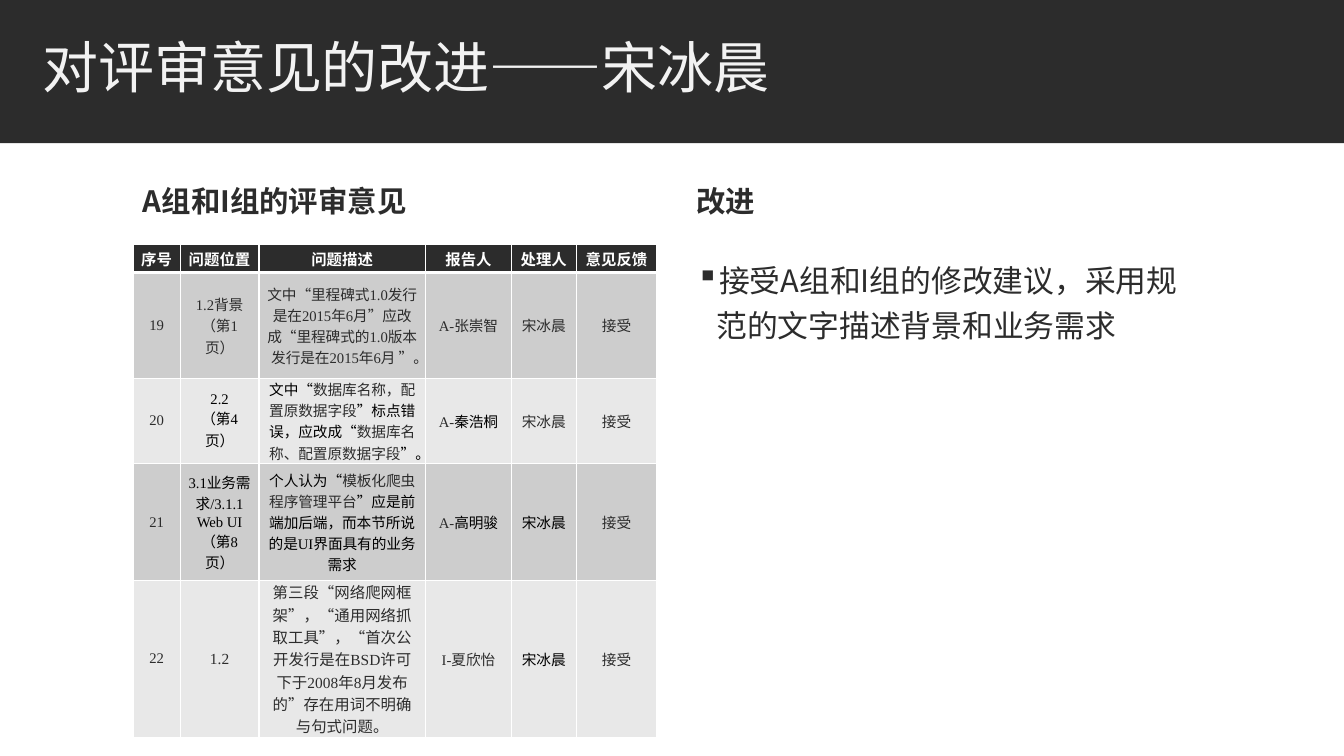
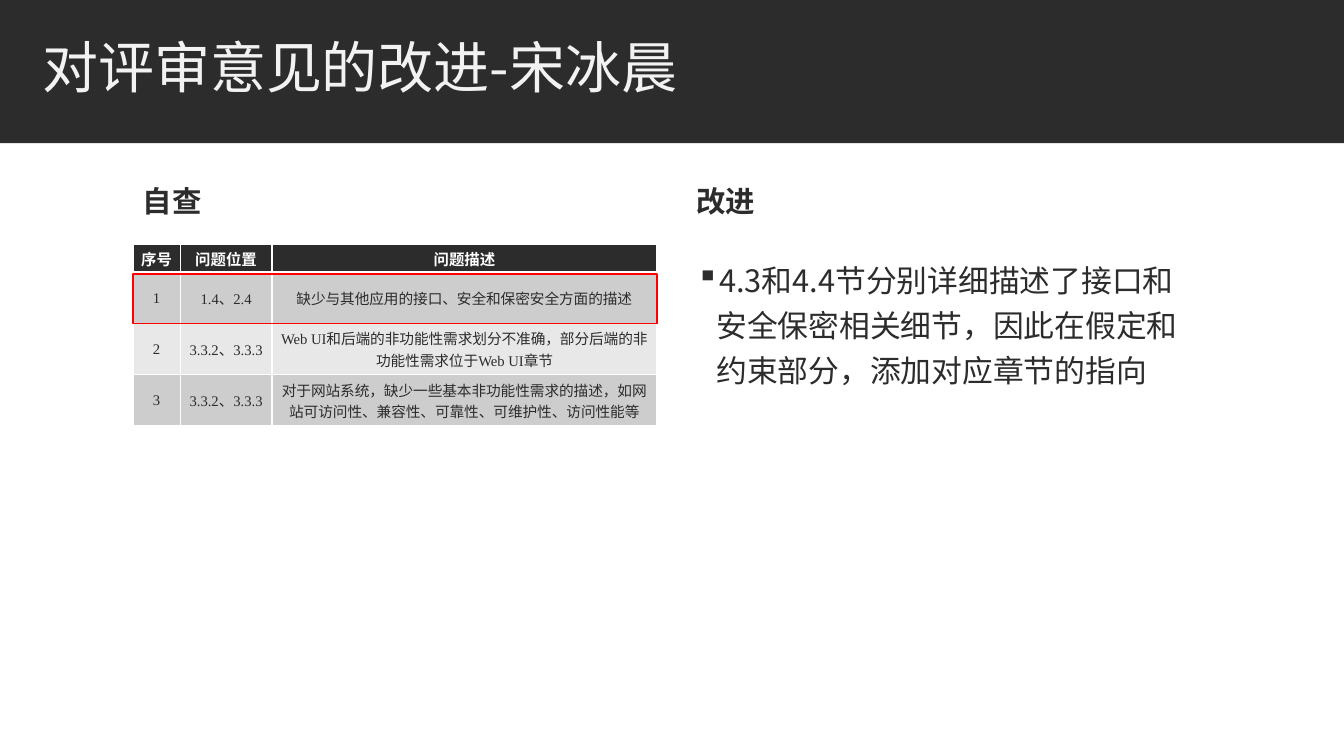
"""Build two slides that list review comments and the improvements made."""
from lxml import etree
from pptx import Presentation
from pptx.dml.color import RGBColor
from pptx.enum.shapes import MSO_SHAPE
from pptx.enum.text import MSO_ANCHOR, MSO_AUTO_SIZE, PP_ALIGN
from pptx.oxml.ns import qn
from pptx.util import Pt

RECTANGLE = MSO_SHAPE.RECTANGLE
MIDDLE, TOP = MSO_ANCHOR.MIDDLE, MSO_ANCHOR.TOP
CENTER, LEFT = PP_ALIGN.CENTER, PP_ALIGN.LEFT
NO_AUTOFIT = MSO_AUTO_SIZE.NONE

DARK = RGBColor(0x2C, 0x2C, 0x2C)
BLACK = RGBColor(0, 0, 0)
WHITE = RGBColor(0xFF, 0xFF, 0xFF)
TITLE_COLOR = RGBColor(0xF2, 0xF2, 0xF2)
BAND_FILLS = (RGBColor(0xCD, 0xCD, 0xCD), RGBColor(0xE8, 0xE8, 0xE8))
RED = RGBColor(0xFF, 0, 0)
SANS, SERIF = "Noto Sans CJK SC", "Times New Roman"

SLIDE_WIDTH, SLIDE_HEIGHT, BAND_HEIGHT = 960, 540, 102.24
TITLE_BOX = (23, 18.7, 770, 65)
LEFT_X, RIGHT_X, COLUMN_WIDTH = 95, 490.3, 374.4
HEADING_Y, HEADING_HEIGHT = 116, 58.3
TABLE_Y, BODY_Y, BODY_HEIGHT = 174.3, 177, 313
HEADER_HEIGHT = 20.4

# A bar in a cell text switches between dark and black.
SLIDES = [
    {
        "title": "对评审意见的改进——宋冰晨",
        "headings": ("A组和I组的评审意见", "改进"),
        "body": "接受A组和I组的修改建议，采用规范的文字描述背景和业务需求",
        "widths": (33.8, 56.2, 119, 61.4, 46.2, 57.8),
        "heights": (HEADER_HEIGHT, 36.6, 36.6, 45.4, 70.6),
        "large_cells": {(4, 1), (4, 2)},
        "rows": [
            ("序号", "问题位置", "问题描述", "报告人", "处理人", "意见反馈"),
            ("19", "1.2背景\n（第1页）",
             "文中“里程碑式1.0发行是在2015年6月”应改成“里程碑式的1.0版本发行是在2015年6月 ”。",
             "A-张崇智", "宋冰晨", "接受"),
            ("20", "|2.2\n|（第4页）",
             "|文中“|数据库名称，配置原数据字段|”标点错误，应改成“|数据库名称、配置原数据字段|”。",
             "A-|秦浩桐", "宋冰晨", "接受"),
            ("21", "|3.1业务需求/3.1.1 Web UI\n|（第8页）",
             "|个人认为“|模板化爬虫程序管理平台|”应是前端加后端，而本节所说的是UI界面具有的业务需求",
             "A-|高明骏", "|宋冰晨", "接受"),
            ("22", "1.2",
             "第三段“网络爬网框架”，“通用网络抓取工具”，“首次公开发行是在BSD许可下于2008年8月发布的”存在用词不明确与句式问题。",
             "I-夏欣怡", "|宋冰晨", "接受"),
        ],
    },
    {
        "title": "对评审意见的改进-宋冰晨",
        "headings": ("自查", "改进"),
        "body": "4.3和4.4节分别详细描述了接口和安全保密相关细节，因此在假定和约束部分，添加对应章节的指向",
        "widths": (33.8, 65.5, 275.1),
        "heights": (HEADER_HEIGHT, 36.5, 36.5, 36.5),
        "large_cells": set(),
        "highlight": (LEFT_X, 195.8, COLUMN_WIDTH, 35.3),
        "rows": [
            ("序号", "问题位置", "问题描述"),
            ("1", "1.4、2.4", "缺少与其他应用的接口、安全和保密安全方面的描述"),
            ("2", "3.3.2、3.3.3",
             "Web UI和后端的非功能性需求划分不准确，部分后端的非功能性需求位于Web UI章节"),
            ("3", "3.3.2、3.3.3",
             "对于网站系统，缺少一些基本非功能性需求的描述，如网站可访问性、兼容性、可靠性、可维护性、访问性能等"),
        ],
    },
]


def points(values):
    return [Pt(value) for value in values]


def format_run(run, size, color, bold=False, latin=SANS):
    run.font.size = Pt(size)
    run.font.bold = bold
    run.font.color.rgb = color
    run.font.name = latin
    properties = run.font._element
    properties.set("lang", "zh-CN")
    latin_element = properties.find(qn("a:latin"))
    east_asian = etree.Element(qn("a:ea"), typeface=SANS)
    latin_element.addnext(east_asian)


def write_text(shape, text, size, color, bold=False, spacing=1.0, anchor=MIDDLE):
    frame = shape.text_frame
    frame.word_wrap = True
    frame.auto_size = NO_AUTOFIT
    frame.vertical_anchor = anchor
    frame.text = text
    paragraph = frame.paragraphs[0]
    paragraph.alignment = LEFT
    paragraph.line_spacing = spacing
    format_run(paragraph.runs[0], size, color, bold)
    return paragraph


def add_band(slide, layout):
    band = slide.shapes.add_shape(
        RECTANGLE, 0, 0, Pt(SLIDE_WIDTH), Pt(BAND_HEIGHT))
    band.shadow.inherit = False
    band.fill.solid()
    band.fill.fore_color.rgb = DARK
    band.line.fill.background()
    layout.shapes.element.insert(2, band.element)


def add_title(slide, text):
    title = slide.shapes.title
    title.left, title.top, title.width, title.height = points(TITLE_BOX)
    write_text(title, text, 40, TITLE_COLOR, spacing=0.85)


def add_heading(slide, text, left):
    box = slide.shapes.add_textbox(
        *points((left, HEADING_Y, COLUMN_WIDTH, HEADING_HEIGHT)))
    paragraph = write_text(box, text, 21, DARK, bold=True, spacing=0.9)
    paragraph.space_before, paragraph.space_after = Pt(12), Pt(2)


def add_body(slide, text):
    box = slide.shapes.add_textbox(
        *points((RIGHT_X, BODY_Y, COLUMN_WIDTH, BODY_HEIGHT)))
    paragraph = write_text(box, text, 22, DARK, spacing=1.23, anchor=TOP)
    properties = paragraph._p.get_or_add_pPr()
    properties.set("marL", str(Pt(14.4)))
    properties.set("indent", str(-Pt(14.4)))
    bullet_color = etree.SubElement(properties, qn("a:buClr"))
    etree.SubElement(bullet_color, qn("a:srgbClr"), val=str(DARK))
    etree.SubElement(properties, qn("a:buChar"), char="▪")


def set_borders(cell, row_index):
    widths = {"L": 1, "R": 1, "T": 3 if row_index == 1 else 1,
              "B": 3 if row_index == 0 else 1}
    properties = cell._tc.get_or_add_tcPr()
    for position, (side, width) in enumerate(widths.items()):
        line = etree.Element(qn(f"a:ln{side}"), w=str(Pt(width)))
        fill = etree.SubElement(line, qn("a:solidFill"))
        etree.SubElement(fill, qn("a:srgbClr"), val=str(WHITE))
        properties.insert(position, line)


def fill_cell(cell, text, row_index, size):
    header = row_index == 0
    cell.margin_left = cell.margin_right = Pt(5)
    cell.margin_top = cell.margin_bottom = 0
    cell.vertical_anchor = MIDDLE
    cell.fill.solid()
    cell.fill.fore_color.rgb = DARK if header else BAND_FILLS[(row_index - 1) % 2]
    set_borders(cell, row_index)
    cell.text_frame.text = text.replace("|", "")
    for paragraph, line in zip(cell.text_frame.paragraphs, text.split("\n")):
        paragraph.alignment = CENTER
        paragraph.clear()
        for index, part in enumerate(line.split("|")):
            if part:
                run = paragraph.add_run()
                run.text = part
                color = WHITE if header else (DARK, BLACK)[index % 2]
                format_run(run, size, color, header, SERIF)


def add_review_table(slide, content):
    rows, widths, heights = content["rows"], content["widths"], content["heights"]
    table = slide.shapes.add_table(
        len(rows), len(widths),
        *points((LEFT_X, TABLE_Y, sum(widths), sum(heights)))).table
    for column, width in zip(table.columns, widths):
        column.width = Pt(width)
    for row, height in zip(table.rows, heights):
        row.height = Pt(height)
    for row_index, texts in enumerate(rows):
        for column_index, text in enumerate(texts):
            large = row_index == 0 or (row_index, column_index) in content["large_cells"]
            fill_cell(table.cell(row_index, column_index), text, row_index,
                      11 if large else 10.5)


def add_highlight(slide, box):
    frame = slide.shapes.add_shape(RECTANGLE, *points(box))
    frame.shadow.inherit = False
    frame.fill.background()
    frame.line.color.rgb = RED
    frame.line.width = Pt(1)


def main():
    presentation = Presentation()
    presentation.slide_width, presentation.slide_height = points(
        (SLIDE_WIDTH, SLIDE_HEIGHT))
    layout = presentation.slide_layouts[5]
    for number, content in enumerate(SLIDES):
        slide = presentation.slides.add_slide(layout)
        if number == 0:
            add_band(slide, layout)
        add_title(slide, content["title"])
        for heading, left in zip(content["headings"], (LEFT_X, RIGHT_X)):
            add_heading(slide, heading, left)
        add_body(slide, content["body"])
        add_review_table(slide, content)
        if "highlight" in content:
            add_highlight(slide, content["highlight"])
    presentation.save("out.pptx")


if __name__ == "__main__":
    main()
